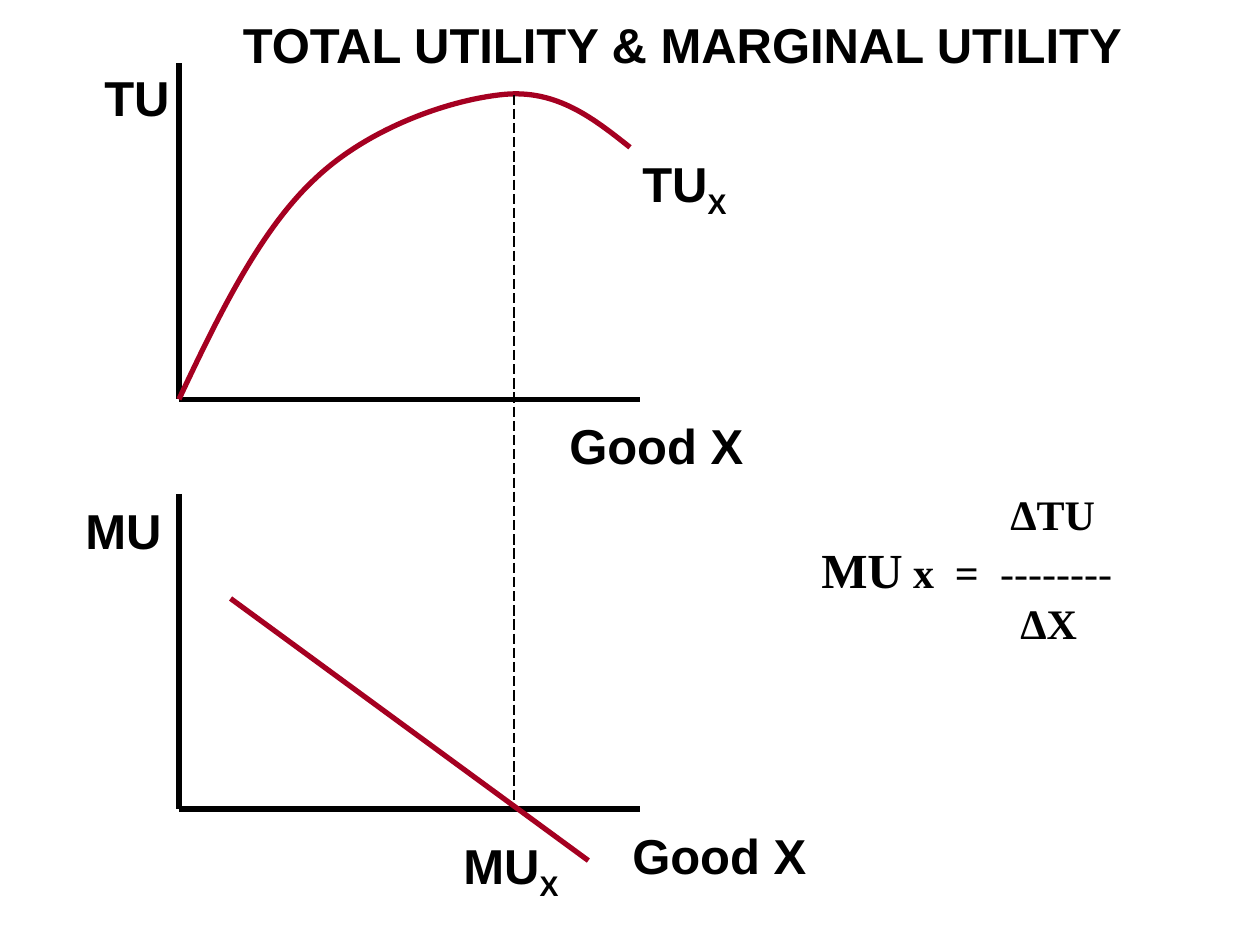
from lxml import etree
from pptx import Presentation
from pptx.dml.color import RGBColor
from pptx.enum.dml import MSO_LINE
from pptx.enum.shapes import MSO_CONNECTOR
from pptx.enum.text import MSO_AUTO_SIZE as AutoSize
from pptx.oxml.ns import qn
from pptx.util import Inches, Pt

COLORS = {"ink": "000000", "curve": "A50021"}
LABEL = {"name": "Arial", "size": Pt(28), "bold": True}
FORMULA = {"name": "Times New Roman", "size": Pt(24), "bold": True}

AXIS_X, AXIS_END, PEAK_X, PEAK_Y = 1.42, 5.08, 4.08, 0.75
TU_BASE, MU_BASE = 3.17, 6.42
# Start point, then two control points and an end point for each segment
TU_CURVE = [(AXIS_X, TU_BASE),
            (1.74, 2.49), (2.07, 1.82), (2.5, 1.42),
            (2.93, 1.01), (3.58, 0.79), (4, PEAK_Y),
            (4.42, 0.71), (4.71, 0.94), (5, 1.17)]


def color(name):
    return RGBColor.from_string(COLORS[name])


def style_line(shape, name, width):
    shape.line.color.rgb = color(name)
    shape.line.width = Pt(width)


def add_line(s, start, end, name="ink", width=3, dash=None):
    points = [Inches(v) for v in (*start, *end)]
    line = s.shapes.add_connector(MSO_CONNECTOR.STRAIGHT, *points)
    style_line(line, name, width)
    if dash:
        line.line.dash_style = dash
    etree.SubElement(line._element.spPr, qn("a:effectLst"))


def add_axes(s, top, base):
    add_line(s, (AXIS_X, top), (AXIS_X, base))
    add_line(s, (AXIS_X, base), (AXIS_END, base))


def add_curve(s, points):
    """Draw a Bezier curve by grouping each three line points into a segment."""
    start, *rest = [(Inches(x), Inches(y)) for x, y in points]
    builder = s.shapes.build_freeform(*start)
    builder.add_line_segments(rest, close=False)
    sp = builder.convert_to_shape()
    sp.shadow.inherit = False
    sp.fill.background()
    style_line(sp, "curve", 3)
    outline = next(sp._element.iter(qn("a:path")))
    steps = outline.findall(qn("a:lnTo"))
    for i in range(0, len(steps), 3):
        segment = etree.SubElement(outline, qn("a:cubicBezTo"))
        for step in steps[i:i + 3]:
            segment.append(step[0])
            outline.remove(step)


def add_box(s, left, top, width, height, wrap=False):
    box = s.shapes.add_textbox(*map(Inches, (left, top, width, height)))
    tf = box.text_frame
    tf.word_wrap = wrap
    tf.auto_size = AutoSize.SHAPE_TO_FIT_TEXT
    return tf


def add_run(p, text, style, **changes):
    r = p.add_run()
    r.text = text
    for key, value in {**style, **changes}.items():
        setattr(r.font, key, value)
    r.font.color.rgb = color("ink")
    return r


def add_label(s, text, left, top, width, subscript=None):
    p = add_box(s, left, top, width, 0.57).paragraphs[0]
    add_run(p, text, LABEL)
    if subscript:
        r = add_run(p, subscript, LABEL)
        r.font._element.set("baseline", "-25000")


def indent(p, left):
    p._p.get_or_add_pPr().set("marL", str(Inches(left)))


def add_tabs(p, stops):
    tabs = etree.SubElement(p._p.get_or_add_pPr(), qn("a:tabLst"))
    for stop in stops:
        etree.SubElement(tabs, qn("a:tab"), pos=str(Inches(stop)), algn="l")


def add_formula(s):
    tf = add_box(s, 6.42, 3.83, 2.74, 1.37, wrap=True)
    top, middle, bottom = tf.paragraphs[0], tf.add_paragraph(), tf.add_paragraph()
    indent(top, 1.5)
    add_run(top, "ΔTU", FORMULA)
    add_tabs(middle, (1.06, 1.42))
    add_run(middle, "MU", FORMULA, size=Pt(28))
    add_run(middle, " x\t=\t", FORMULA)
    add_run(middle, "--------", FORMULA, bold=False)
    indent(bottom, 1.58)
    add_run(bottom, "ΔX", FORMULA)


def main():
    prs = Presentation()
    prs.slide_width, prs.slide_height = Inches(10), Inches(7.5)
    s = prs.slides.add_slide(prs.slide_layouts[6])

    add_axes(s, 0.5, TU_BASE)
    add_axes(s, 3.92, MU_BASE)
    add_curve(s, TU_CURVE)
    add_line(s, (PEAK_X, PEAK_Y), (PEAK_X, MU_BASE), width=0.75,
             dash=MSO_LINE.LONG_DASH)
    add_line(s, (1.83, 4.75), (4.67, 6.83), "curve")

    add_label(s, "TU", 5, 1.17, 0.9, subscript="X")
    add_label(s, "MU", 3.58, 6.58, 0.98, subscript="X")
    add_label(s, "Good X", 4.42, 3.25, 1.58)
    add_label(s, "Good X", 4.92, 6.5, 1.58)
    add_label(s, "TU", 0.73, 0.49, 0.72)
    add_label(s, "MU", 0.58, 3.92, 0.81)
    add_formula(s)
    add_label(s, "TOTAL UTILITY & MARGINAL UTILITY", 1.83, 0.07, 7.24)

    prs.save("out.pptx")


if __name__ == "__main__":
    main()
